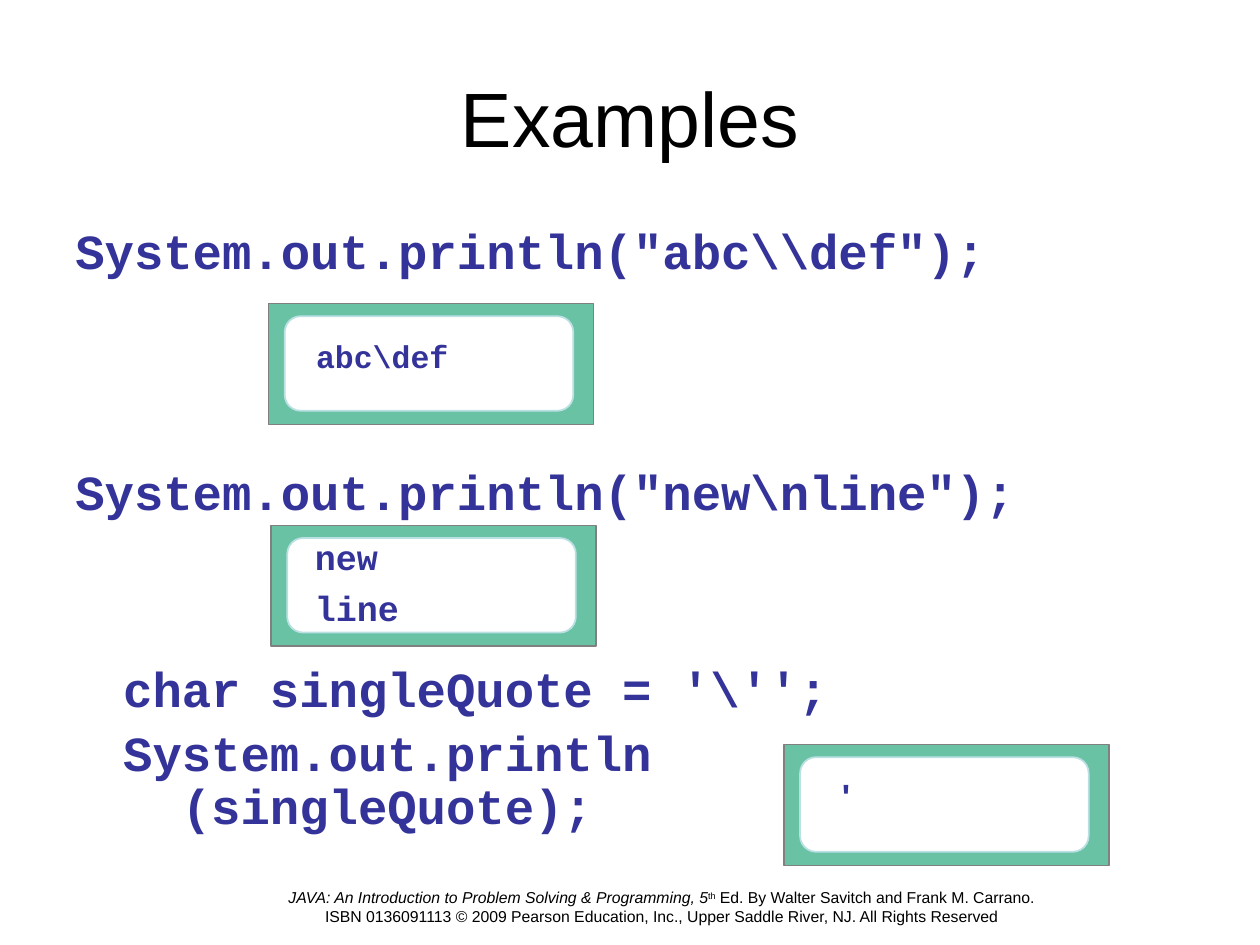
"""Build the slide of escape character examples with their screen output."""
from pptx import Presentation
from pptx.dml.color import RGBColor
from pptx.enum.shapes import MSO_SHAPE
from pptx.enum.text import MSO_ANCHOR, PP_ALIGN
from pptx.util import Inches, Pt

CODE = {"font": "Courier New", "color": "333399", "bold": True}

TITLE = "Examples"
STATEMENTS = [
    ('System.out.println("abc\\\\def");', 0, 0),
    ('System.out.println("new\\nline");', 0, 108),
    ("char singleQuote = '\\'';", 0.38, 82),
    ("System.out.println\n  (singleQuote);", 0.38, 6.5),
]
SCREENS = [(2.13, 2.41), (6.22, 5.91), (2.15, 4.17)]
OUTPUTS = [
    (["abc\\def"], (2.41, 2.66, 2.52, 0.37), {"size": 18, "spacing": 0.9}),
    (["new", "line"], (2.4, 4.2, 2.46, 0.9), {"size": 20}),
    (["'"], (6.26, 6.1, 0.91, 0.44),
     {"size": 20, "font": "Arial", "align": PP_ALIGN.CENTER}),
]
FOOTER = [
    ("JAVA: An Introduction to Problem Solving & Programming, 5", {"italic": True}),
    ("th", {"raised": True}),
    (" Ed. By Walter Savitch and Frank M. Carrano.\n"
     "ISBN 0136091113 © 2009 Pearson Education, Inc., "
     "Upper Saddle River, NJ. All Rights Reserved", {}),
]


def rgb(value):
    return RGBColor.from_string(value)


def add_box(page, left, top, width, height, anchor=MSO_ANCHOR.TOP):
    box = page.shapes.add_textbox(
        Inches(left), Inches(top), Inches(width), Inches(height))
    frame = box.text_frame
    frame.word_wrap = True
    frame.vertical_anchor = anchor
    return frame


def add_paragraph(frame, first, align=PP_ALIGN.LEFT, before=0, spacing=1.0, margin=0):
    para = frame.paragraphs[0] if first else frame.add_paragraph()
    para.alignment = align
    para.space_before = Pt(0 if first else before)
    para.line_spacing = spacing
    if margin:
        properties = para._p.get_or_add_pPr()
        properties.set("marL", str(Inches(margin)))
        properties.set("indent", "0")
    return para


def add_text(para, text, size=9, font="Arial", color="000000",
             bold=False, italic=False, raised=False):
    for number, line in enumerate(text.split("\n")):
        if number:
            para.add_line_break()
        span = para.add_run()
        span.text = line
        span.font.size = Pt(size)
        span.font.name = font
        span.font.bold = bold
        span.font.italic = italic
        span.font.color.rgb = rgb(color)
        if raised:
            span.font._element.set("baseline", "30000")


def add_panel(page, kind, left, top, width, height, fill, line):
    panel = page.shapes.add_shape(
        kind, Inches(left), Inches(top), Inches(width), Inches(height))
    panel.shadow.inherit = False
    panel.fill.solid()
    panel.fill.fore_color.rgb = rgb(fill)
    panel.line.color.rgb = rgb(line)
    panel.line.width = Pt(1)


def add_screen(page, left, top):
    add_panel(page, MSO_SHAPE.RECTANGLE, left, top, 2.58, 0.96, "6AC2A5", "808080")
    add_panel(page, MSO_SHAPE.ROUNDED_RECTANGLE, left + 0.13, top + 0.1,
              2.29, 0.75, "FFFFFF", "BBE0E3")


def main():
    deck = Presentation()
    deck.slide_width, deck.slide_height = Inches(10), Inches(7.5)
    page = deck.slides.add_slide(deck.slide_layouts[6])

    footer = add_box(page, 0.75, 7, 9, 0.4)
    para = add_paragraph(footer, True, align=PP_ALIGN.CENTER)
    for text, style in FOOTER:
        add_text(para, text, **style)

    title = add_box(page, 0.5, 0.3, 9, 1.25, MSO_ANCHOR.MIDDLE)
    add_text(add_paragraph(title, True, align=PP_ALIGN.CENTER), TITLE, size=44)

    body = add_box(page, 0.5, 1.75, 9, 5.25)
    for number, (text, margin, before) in enumerate(STATEMENTS):
        para = add_paragraph(body, number == 0, before=before, spacing=0.9, margin=margin)
        add_text(para, text, size=28, **CODE)

    for left, top in SCREENS:
        add_screen(page, left, top)

    for lines, place, style in OUTPUTS:
        frame = add_box(page, *place)
        for number, line in enumerate(lines):
            para = add_paragraph(frame, number == 0, before=5,
                                 align=style.get("align", PP_ALIGN.LEFT),
                                 spacing=style.get("spacing", 1.0))
            look = {**CODE, "font": style.get("font", CODE["font"])}
            add_text(para, line, size=style["size"], **look)

    deck.save("out.pptx")


if __name__ == "__main__":
    main()
